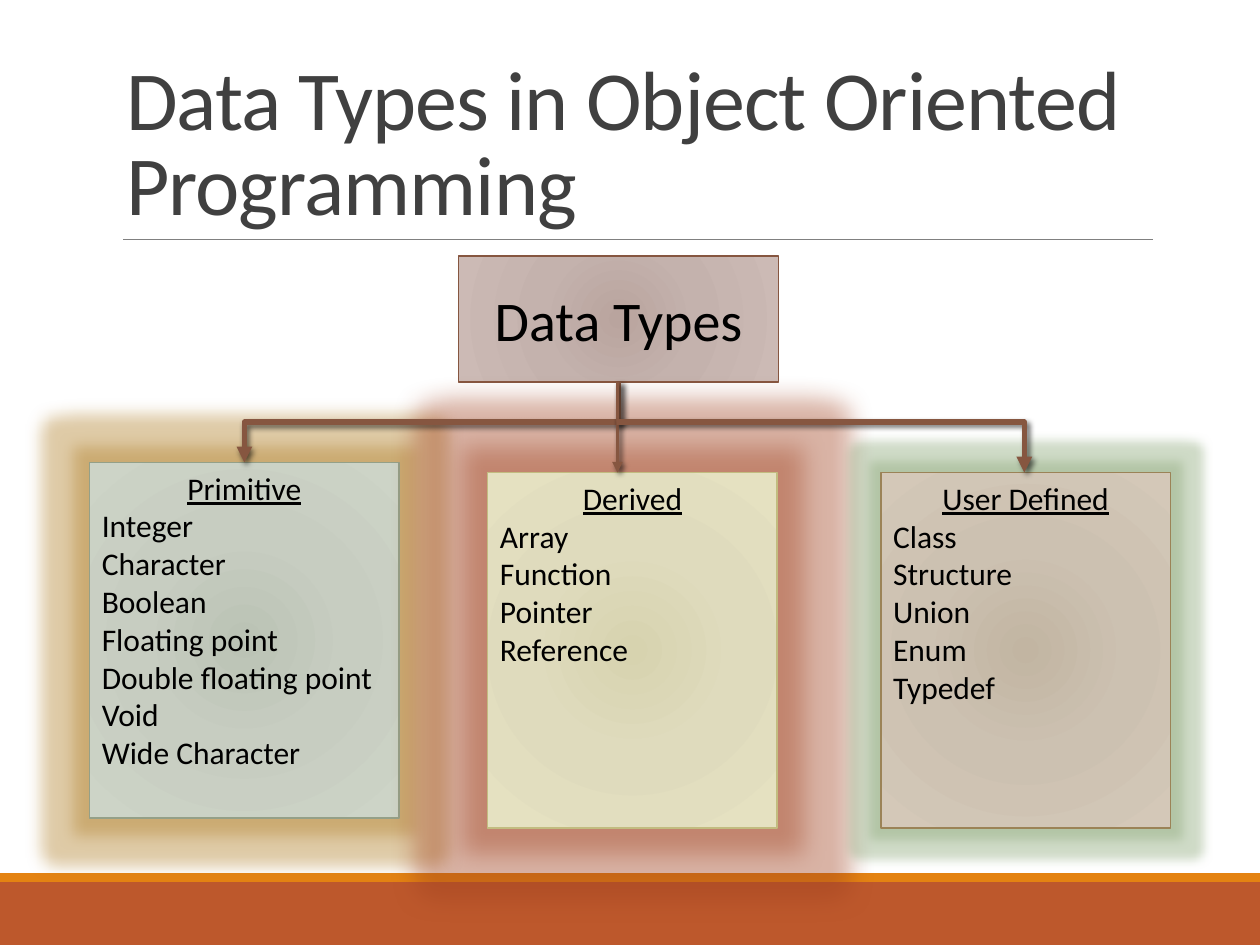
from dataclasses import dataclass

from lxml import etree
from pptx import Presentation
from pptx import util as u
from pptx.dml.color import RGBColor
from pptx.enum import shapes, text
from pptx.oxml.ns import qn


@dataclass(frozen=True)
class Theme:
    font: str = "Calibri"
    title_size: int = 48
    root_size: int = 32
    list_size: int = 18
    title: str = "404040"
    ink: str = "000000"
    rule: str = "808080"
    band: str = "BD582C"
    stripe: str = "E48312"
    link: str = "865640"


def rgb(value):
    return RGBColor.from_string(value)


def add_xml(parent, tag, **attributes):
    return etree.SubElement(parent, qn(tag), {k: str(v) for k, v in attributes.items()})


def add_color(parent, value, alpha=None):
    color = add_xml(parent, "a:srgbClr", val=value)
    if alpha is not None:
        add_xml(color, "a:alpha", val=alpha * 1000)


class SlideBuilder:
    """Places elements on a grid of 100 columns by 75 rows."""

    COLUMNS, ROWS = 100, 75

    def __init__(self, deck, theme):
        self.deck, self.theme = deck, theme
        self.slide = deck.slides.add_slide(deck.slide_layouts[5])

    def x(self, columns):
        return u.Emu(round(self.deck.slide_width * columns / self.COLUMNS))

    def y(self, rows):
        return u.Emu(round(self.deck.slide_height * rows / self.ROWS))

    def area(self, left, top, width, height):
        return self.x(left), self.y(top), self.x(width), self.y(height)

    def add_words(self, para, words, size, color, underline=None):
        span = para.add_run()
        span.text = words
        font = span.font
        font.name, font.size, font.underline = self.theme.font, u.Pt(size), underline
        font.color.rgb = rgb(color)
        return span

    def title(self, words, *area):
        box = self.slide.shapes.title
        box.left, box.top, box.width, box.height = self.area(*area)
        frame = box.text_frame
        frame.word_wrap, frame.auto_size = True, text.MSO_AUTO_SIZE.NONE
        frame.vertical_anchor = text.MSO_ANCHOR.BOTTOM
        para = frame.paragraphs[0]
        para.alignment, para.line_spacing = text.PP_ALIGN.LEFT, 0.85
        span = self.add_words(para, words, self.theme.title_size, self.theme.title)
        span.font._element.set("spc", "-50")

    def rectangle(self, *area):
        box = self.slide.shapes.add_shape(shapes.MSO_SHAPE.RECTANGLE, *self.area(*area))
        box.shadow.inherit = False
        return box

    def strip(self, color, *area):
        box = self.rectangle(*area)
        box.fill.solid()
        box.fill.fore_color.rgb = rgb(color)
        box.line.fill.background()

    def card(self, area, tints, edge, anchor, glow=None):
        box = self.rectangle(*area)
        box.line.color.rgb, box.line.width = rgb(edge), u.Pt(1)
        # Radial fill from the centre outwards
        properties = box._element.spPr
        gradient = etree.Element(qn("a:gradFill"), rotWithShape="1")
        stops = add_xml(gradient, "a:gsLst")
        for position, tint in zip((0, 45, 100), tints):
            add_color(add_xml(stops, "a:gs", pos=position * 1000), tint)
        circle = add_xml(gradient, "a:path", path="circle")
        add_xml(circle, "a:fillToRect", l=50000, t=50000, r=50000, b=50000)
        properties.find(qn("a:prstGeom")).addnext(gradient)
        if glow:
            color, radius = glow
            effects = properties.find(qn("a:effectLst"))
            add_color(add_xml(effects, "a:glow", rad=u.Pt(radius)), color, 40)
        frame = box.text_frame
        frame.word_wrap, frame.vertical_anchor = True, anchor
        return frame

    def root(self, words, area, tints):
        frame = self.card(area, tints, self.theme.link, text.MSO_ANCHOR.MIDDLE)
        para = frame.paragraphs[0]
        para.alignment = text.PP_ALIGN.CENTER
        self.add_words(para, words, self.theme.root_size, self.theme.ink)

    def category(self, heading, items, area, tints, edge, glow):
        frame = self.card(area, tints, edge, text.MSO_ANCHOR.TOP, glow)
        para = frame.paragraphs[0]
        para.alignment = text.PP_ALIGN.CENTER
        self.add_words(para, heading, self.theme.list_size, self.theme.ink, True)
        for item in items:
            para = frame.add_paragraph()
            para.alignment = text.PP_ALIGN.LEFT
            self.add_words(para, item, self.theme.list_size, self.theme.ink)

    def line(self, kind, start, end, color, width):
        line = self.slide.shapes.add_connector(
            kind, self.x(start[0]), self.y(start[1]), self.x(end[0]), self.y(end[1]))
        line.line.color.rgb, line.line.width = rgb(color), u.Pt(width)
        effects = add_xml(line._element.spPr, "a:effectLst")
        return line, effects

    def arrow(self, start, end, width, kind=shapes.MSO_CONNECTOR.STRAIGHT):
        line, effects = self.line(kind, start, end, self.theme.link, width)
        add_xml(line._element.spPr.find(qn("a:ln")), "a:tailEnd", type="triangle")
        shadow = add_xml(effects, "a:outerShdw", blurRad=u.Pt(3), dist=u.Pt(2),
                         dir=45 * 60000, algn="tl", rotWithShape=0)
        add_color(shadow, self.theme.ink, 60)
        return line

    def corner_arrow(self, start, end, width):
        line = self.arrow(start, end, width, shapes.MSO_CONNECTOR.ELBOW)
        line._element.spPr.find(qn("a:prstGeom")).set("prst", "bentConnector2")

    def drop_arrow(self, start, end, width):
        """Down, left, down: an elbow turned by a quarter around its centre."""
        middle_x, middle_y = (start[0] + end[0]) / 2, (start[1] + end[1]) / 2
        half_run, half_drop = (start[0] - end[0]) / 2, (end[1] - start[1]) / 2
        line = self.arrow((middle_x - half_drop, middle_y - half_run),
                          (middle_x + half_drop, middle_y + half_run),
                          width, shapes.MSO_CONNECTOR.ELBOW)
        line._element.spPr.find(qn("a:xfrm")).set("rot", str(90 * 60000))


CATEGORIES = [
    ("Primitive",
     ["Integer", "Character", "Boolean", "Floating point",
      "Double floating point", "Void", "Wide Character"],
     (7.1, 36.7, 24.6, 28.2), ("BBC3B5", "C7CDC1", "CDD4C7"), "94A088", ("AF7D25", 18)),
    ("Derived", ["Array", "Function", "Pointer", "Reference"],
     (38.7, 37.5, 23, 28.2), ("D7D3AF", "DFDBBD", "E5E1C1"), "C2BC80", ("A0411E", 28)),
    ("User Defined", ["Class", "Structure", "Union", "Enum", "Typedef"],
     (69.9, 37.5, 23, 28.2), ("C2B5A2", "CCC1B1", "D4C8B8"), "9B8357", ("89A575", 12)),
]


def main():
    deck = Presentation()
    deck.slide_width, deck.slide_height = u.Inches(10), u.Inches(7.5)
    theme = Theme()
    page = SlideBuilder(deck, theme)

    # Footer bands, title and rule
    page.strip(theme.band, 0, 70, 100, 5)
    page.strip(theme.stripe, 0, 69.3, 100, 0.7)
    page.line(shapes.MSO_CONNECTOR.STRAIGHT, (9.8, 19), (91.5, 19), theme.rule, 0.5)
    page.title("Data Types in Object Oriented Programming", 9, 3.1, 82.5, 15.9)

    # Root and its categories
    page.root("Data Types", (36.4, 20.3, 25.4, 10), ("B9A49E", "C4B2AD", "CCBAB5"))
    for category in CATEGORIES:
        page.category(*category)

    # Arrows from the root to each category
    page.drop_arrow((49.1, 30.3), (19.4, 36.7), 3)
    page.arrow((49, 30.3), (49, 37.5), 2)
    page.corner_arrow((49, 33.5), (81.3, 37.5), 3)

    deck.save("out.pptx")


if __name__ == "__main__":
    main()
